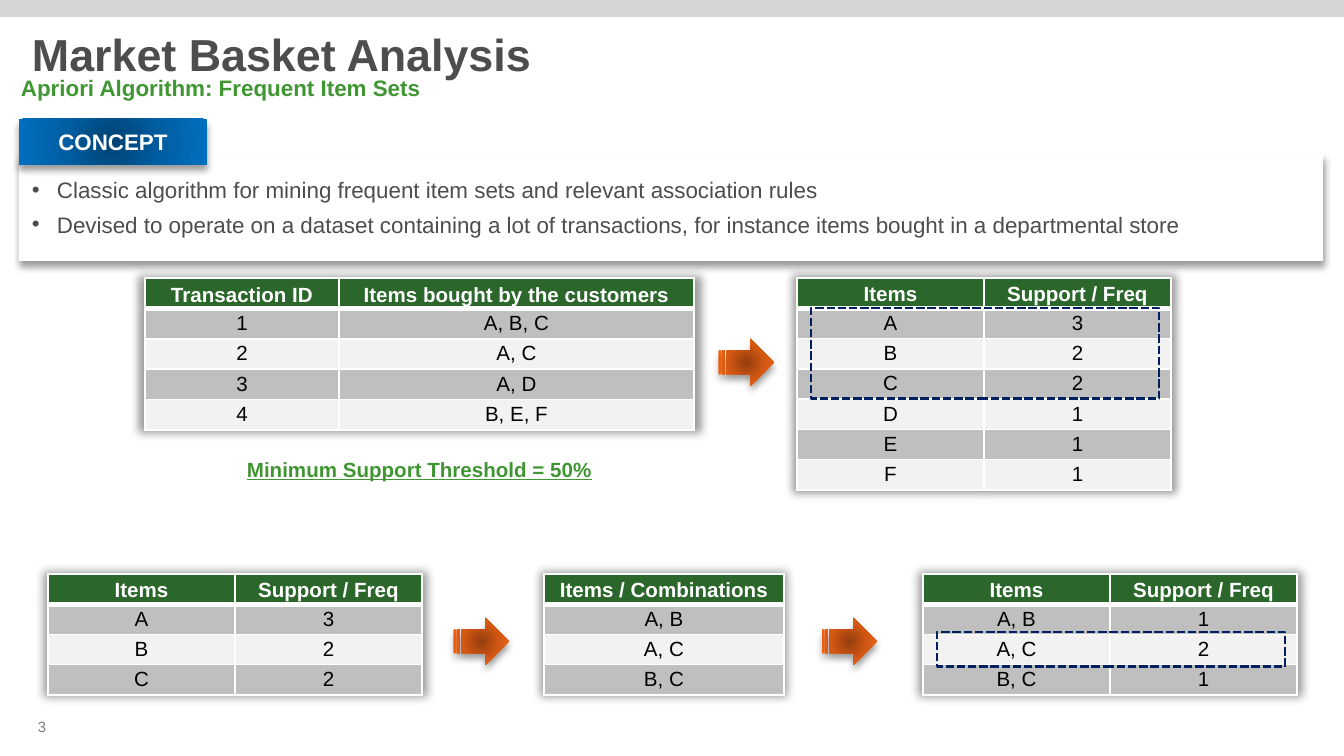
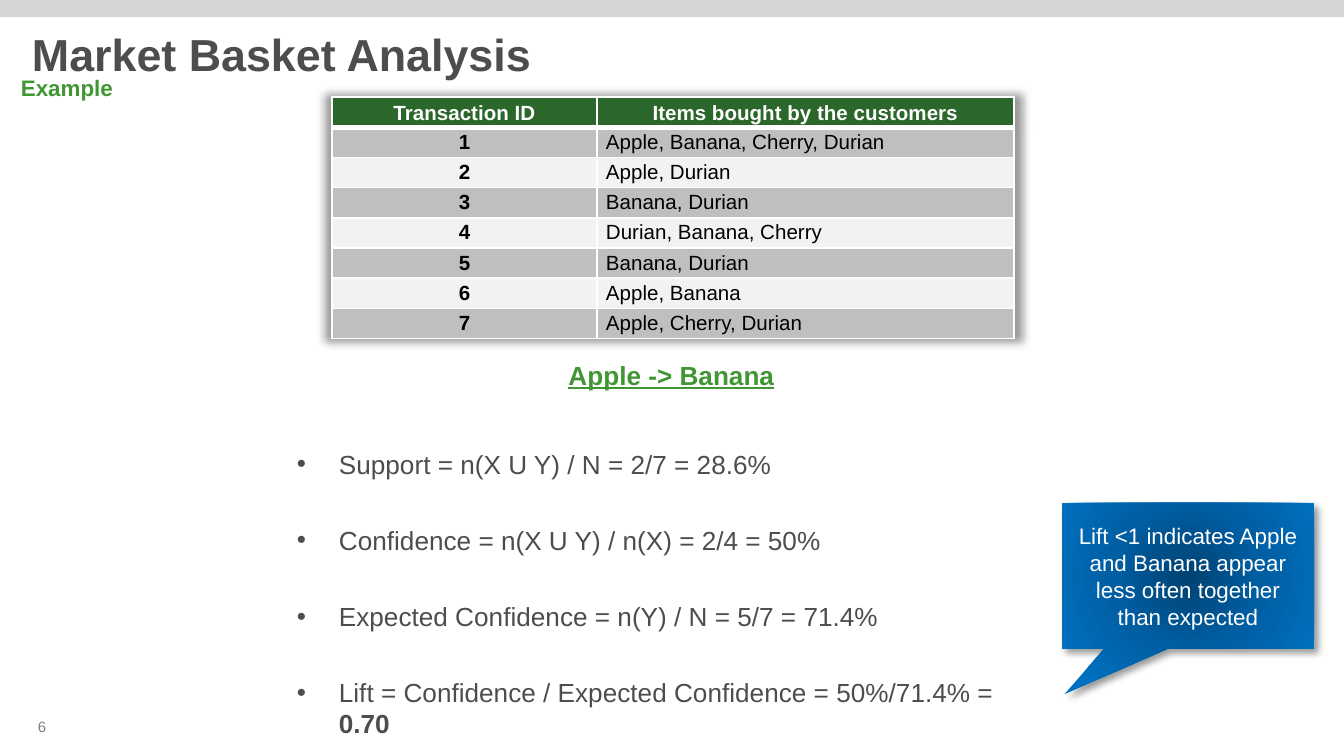
from pptx import Presentation
from pptx.dml.color import RGBColor
from pptx.enum.dml import MSO_LINE
from pptx.enum.shapes import MSO_SHAPE
from pptx.enum.text import MSO_ANCHOR, PP_ALIGN
from pptx.oxml import parse_xml
from pptx.util import Pt

RECT = MSO_SHAPE.RECTANGLE
ARROW = MSO_SHAPE.STRIPED_RIGHT_ARROW
CALLOUT = MSO_SHAPE.RECTANGULAR_CALLOUT
LEFT, CENTER = PP_ALIGN.LEFT, PP_ALIGN.CENTER
TOP, MIDDLE = MSO_ANCHOR.TOP, MSO_ANCHOR.MIDDLE
DASH = MSO_LINE.SQUARE_DOT

PX = 914400 / 134.4
FONT = "Arial"
NS = 'xmlns:a="http://schemas.openxmlformats.org/drawingml/2006/main"'
COLORS = {
    "white": "FFFFFF", "black": "000000", "band": "D4D6D5", "text": "4D4D4D",
    "number": "808080", "green": "409633", "header": "2B662B",
    "odd row": "BFBFBF", "even row": "F2F2F2", "navy": "002060",
}
GRADIENTS = {
    "blue": ("004272", "005EA2", "0070C0"),
    "orange": ("943E0D", "D35813", "FA6916"),
}
C = {name: RGBColor.from_string(value) for name, value in COLORS.items()}


def add_box(slide, box, lines=(), preset=None, fill=None, shadow=None, size=12,
            color="text", bold=False, underline=False, align=LEFT, anchor=TOP,
            before=0, indent=0, inset=(13, 7)):
    """Add a text box or preset shape, with a shadow falling at the given angle."""
    place = [round(n * PX) for n in box]
    if preset is None:
        shape = slide.shapes.add_textbox(*place)
    else:
        shape = slide.shapes.add_shape(preset, *place)
        shape.shadow.inherit = False
        shape.line.fill.background()
        if fill in C:
            shape.fill.solid()
            shape.fill.fore_color.rgb = C[fill]
        else:
            shape.fill.background()
        properties = shape._element.spPr
        if fill in GRADIENTS:
            stops = "".join(f'<a:gs pos="{i * 50000}"><a:srgbClr val="{value}"/></a:gs>'
                            for i, value in enumerate(GRADIENTS[fill]))
            properties.replace(properties.find("{*}noFill"), parse_xml(
                f'<a:gradFill {NS} rotWithShape="1"><a:gsLst>{stops}</a:gsLst>'
                '<a:path path="circle"><a:fillToRect l="50000" t="50000" r="50000" b="50000"/>'
                '</a:path></a:gradFill>'))
        if shadow is not None:
            properties.find("{*}effectLst").append(parse_xml(
                f'<a:outerShdw {NS} blurRad="50800" dist="38100" dir="{shadow * 60000}" '
                'algn="t" rotWithShape="0"><a:srgbClr val="000000"><a:alpha val="40000"/>'
                '</a:srgbClr></a:outerShdw>'))
    if not lines:
        return shape
    frame = shape.text_frame
    frame.text = "\n".join(lines)
    frame.word_wrap = True
    frame.vertical_anchor = anchor
    frame.margin_left = frame.margin_right = round(inset[0] * PX)
    frame.margin_top = frame.margin_bottom = round(inset[1] * PX)
    for paragraph in frame.paragraphs:
        paragraph.alignment = align
        paragraph.space_before = Pt(before)
        if indent:
            settings = paragraph._p.get_or_add_pPr()
            settings.set("marL", str(round(indent * PX)))
            settings.set("indent", str(round(-indent * PX)))
            settings.append(parse_xml(f'<a:buFont {NS} typeface="{FONT}"/>'))
            settings.append(parse_xml(f'<a:buChar {NS} char="•"/>'))
        font = paragraph.runs[0].font
        font.name, font.size, font.bold = FONT, Pt(size), bold
        font.underline = underline
        font.color.rgb = C[color]
    return shape


def add_grid(slide, left, top, height, widths, rows, row_titles=False):
    """Add a banded table; row_titles makes column one bold and the rest left aligned."""
    frame = slide.shapes.add_table(len(rows), len(widths), round(left * PX), round(top * PX),
                                   round(sum(widths) * PX), round(height * PX))
    table = frame.table
    table._tbl.tblPr.insert(0, parse_xml(
        f'<a:effectLst {NS}><a:outerShdw blurRad="63500" sx="102000" sy="102000" algn="ctr" '
        'rotWithShape="0"><a:srgbClr val="000000"><a:alpha val="40000"/></a:srgbClr>'
        '</a:outerShdw></a:effectLst>'))
    for column, width in zip(table.columns, widths):
        column.width = round(width * PX)
    for r, row in enumerate(rows):
        table.rows[r].height = round(height / len(rows) * PX)
        for c, value in enumerate(row):
            cell = table.cell(r, c)
            cell.text = value
            cell.margin_left = cell.margin_right = round(9 * PX)
            cell.margin_top = cell.margin_bottom = 0
            cell.vertical_anchor = MIDDLE if r == 0 else TOP
            cell.fill.solid()
            band = "header" if r == 0 else "odd row" if r % 2 else "even row"
            cell.fill.fore_color.rgb = C[band]
            paragraph = cell.text_frame.paragraphs[0]
            paragraph.alignment = LEFT if row_titles and r and c else CENTER
            paragraph.line_spacing = 1.15
            font = paragraph.runs[0].font
            font.name, font.size = FONT, Pt(11)
            font.bold = r == 0 or (row_titles and c == 0)
            font.color.rgb = C["white" if r == 0 else "black"]
            points = {"L": 1, "R": 1, "T": 3 if r == 1 else 1, "B": 3 if r == 0 else 1}
            for i, (side, width) in enumerate(points.items()):
                cell._tc.get_or_add_tcPr().insert(i, parse_xml(
                    f'<a:ln{side} {NS} w="{width * 12700}"><a:solidFill>'
                    f'<a:srgbClr val="{COLORS["white"]}"/></a:solidFill></a:ln{side}>'))


deck = Presentation()
deck.slide_width, deck.slide_height = round(1344 * PX), round(756 * PX)

# Frame shared by both slides
slides = []
for number, subtitle in (("3", "Apriori Algorithm: Frequent Item Sets"), ("6", "Example")):
    slide = deck.slides.add_slide(deck.slide_layouts[6])
    add_box(slide, (-1, 711, 86, 42), [number], size=8, color="number", align=CENTER)
    add_box(slide, (0, 0, 1344, 17), preset=RECT, fill="band")
    title = add_box(slide, (19, 17, 1253, 70), ["Market Basket Analysis"],
                    size=24, bold=True, anchor=MIDDLE)
    title.text_frame.paragraphs[0].line_spacing = Pt(30)
    add_box(slide, (6, 67, 1337, 42), [subtitle], color="green", bold=True,
            before=2, inset=(15, 7))
    slides.append(slide)
apriori, example = slides

# Apriori algorithm: concept
add_box(apriori, (19, 153, 1304, 108),
        ["Classic algorithm for mining frequent item sets and relevant association rules",
         "Devised to operate on a dataset containing a lot of transactions, "
         "for instance items bought in a departmental store"],
        preset=RECT, fill="white", shadow=90, anchor=MIDDLE, before=4, indent=25)
add_box(apriori, (19, 119, 188, 46), ["CONCEPT"], preset=RECT, fill="blue", shadow=90,
        color="white", bold=True, align=CENTER, anchor=MIDDLE)

# Apriori algorithm: from transactions to frequent pairs
transaction_header = ("Transaction ID", "Items bought by the customers")
support_header = ("Items", "Support / Freq")
frequent = [("A", "3"), ("B", "2"), ("C", "2")]
infrequent = [("D", "1"), ("E", "1"), ("F", "1")]
pairs = [("A, B", "1"), ("A, C", "2"), ("B, C", "1")]
support_widths = (187, 187)

add_grid(apriori, 145, 278, 152, (194, 355),
         [transaction_header, ("1", "A, B, C"), ("2", "A, C"), ("3", "A, D"), ("4", "B, E, F")])
add_grid(apriori, 797, 278, 212, support_widths, [support_header] + frequent + infrequent)
add_grid(apriori, 48, 574, 121, support_widths, [support_header] + frequent)
add_grid(apriori, 544, 574, 121, (240,),
         [("Items / Combinations",)] + [(pair,) for pair, support in pairs])
add_grid(apriori, 923, 574, 121, support_widths, [support_header] + pairs)

for left, top in ((719, 339), (454, 618), (822, 618)):
    add_box(apriori, (left, top, 55, 47), preset=ARROW, fill="orange", shadow=90)
add_box(apriori, (144, 450, 551, 39), ["Minimum Support Threshold = 50%"], size=11,
        color="green", bold=True, underline=True, align=CENTER, before=2, inset=(15, 7))
for box in ((811, 308, 348, 91), (937, 632, 348, 35)):
    selection = add_box(apriori, box, preset=RECT)
    selection.line.color.rgb = C["navy"]
    selection.line.width = Pt(1.5)
    selection.line.dash_style = DASH

# Example: transactions and measures
add_grid(example, 332, 97, 242, (265, 417),
         [transaction_header, ("1", "Apple, Banana, Cherry, Durian"), ("2", "Apple, Durian"),
          ("3", "Banana, Durian"), ("4", "Durian, Banana, Cherry"), ("5", "Banana, Durian"),
          ("6", "Apple, Banana"), ("7", "Apple, Cherry, Durian")], row_titles=True)
measures = add_box(example, (282, 441, 781, 280),
                   ["Support = n(X U Y) / N = 2/7 = 28.6%",
                    "Confidence = n(X U Y) / n(X) = 2/4 = 50%",
                    "Expected Confidence = n(Y) / N = 5/7 = 71.4%",
                    "Lift = Confidence / Expected Confidence = 50%/71.4% = "],
                   size=14, before=2, indent=42, inset=(15, 7))
measure_lines = measures.text_frame.paragraphs
for line in measure_lines[1:]:
    line.space_before = Pt(24)
lift = measure_lines[-1].add_run()
lift.text = "0.70"
lift.font.name, lift.font.size, lift.font.bold = FONT, Pt(14), True
lift.font.color.rgb = C["text"]

add_box(example, (3, 352, 1337, 46), ["Apple -> Banana"], size=14, color="green", bold=True,
        underline=True, align=CENTER, before=2, inset=(15, 7))
remark = add_box(example, (1062, 503, 252, 146),
                 ["Lift <1 indicates Apple and Banana appear less often together than expected"],
                 preset=CALLOUT, fill="blue", shadow=45, color="white", align=CENTER,
                 anchor=MIDDLE)
remark.adjustments[0], remark.adjustments[1] = -0.49, 0.81

deck.save("out.pptx")
